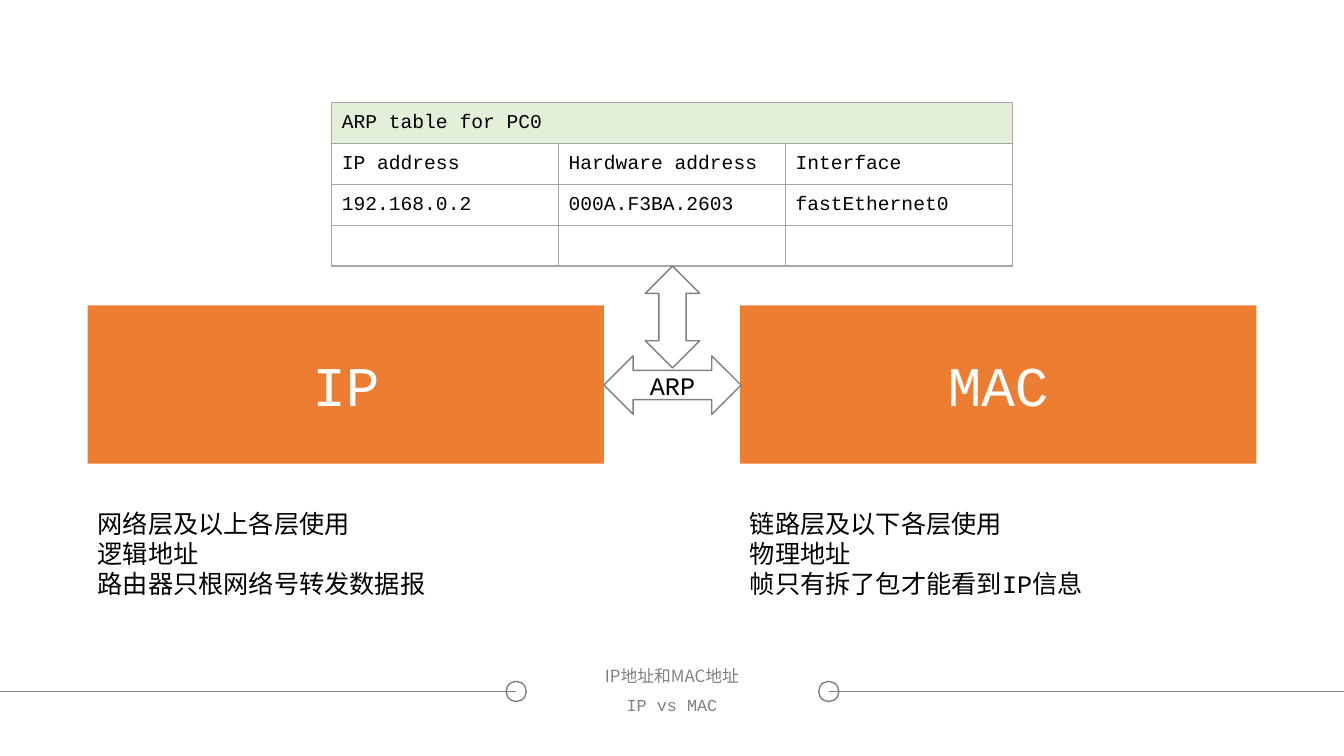
import pptx
import pptx.util
import pptx.dml.color
import pptx.enum.shapes
import pptx.enum.text
import pptx.oxml
import pptx.oxml.ns
from lxml import etree

Inches, Pt = pptx.util.Inches, pptx.util.Pt
KIND = pptx.enum.shapes.MSO_SHAPE
ALIGN = pptx.enum.text.PP_ALIGN
ANCHOR = pptx.enum.text.MSO_ANCHOR
qn = pptx.oxml.ns.qn

# Content
MONO, SANS = "Courier New", "Noto Sans CJK SC"
GREY, BLACK, WHITE = "808080", "000000", "FFFFFF"
ORANGE, GREEN, EDGE = "ED7D31", "E2F0D9", "A6A6A6"
SIDES = [
    ("IP", 0.87, 3.48, ["网络层及以上各层使用", "逻辑地址", "路由器只根网络号转发数据报"]),
    ("MAC", 7.34, 3.53, ["链路层及以下各层使用", "物理地址", "帧只有拆了包才能看到IP信息"]),
]
ROWS = [
    ["ARP table for PC0", "", ""],
    ["IP address", "Hardware address", "Interface"],
    ["192.168.0.2", "000A.F3BA.2603", "fastEthernet0"],
    ["", "", ""],
]
TITLES = [("IP地址和MAC地址", 6.58, 0.28, SANS), ("IP vs MAC", 6.87, 0.27, MONO)]
ARROWS = [
    (KIND.LEFT_RIGHT_ARROW, (5.99, 3.53, 1.36, 0.58), "ARP"),
    (KIND.UP_DOWN_ARROW, (6.4, 2.64, 0.54, 1.01), ""),
]

deck = pptx.Presentation()
deck.slide_width, deck.slide_height = Inches(13.33), Inches(7.5)
slide = deck.slides.add_slide(deck.slide_layouts[6])


def color(code):
    return pptx.dml.color.RGBColor.from_string(code)


def write(frame, lines, size, ink=BLACK, face=MONO, align=ALIGN.LEFT):
    for i, line in enumerate(lines):
        para = frame.add_paragraph() if i else frame.paragraphs[0]
        para.text, para.alignment = line, align
        font = para.font
        font.size, font.name = Pt(size), face
        font.color.rgb = color(ink)
        props = para._p.pPr.find(qn("a:defRPr"))
        etree.SubElement(props, qn("a:ea")).set("typeface", face)


def shape(kind, box, fill=None, line=None):
    item = slide.shapes.add_shape(kind, *map(Inches, box))
    item.shadow.inherit = False
    if fill:
        item.fill.solid()
        item.fill.fore_color.rgb = color(fill)
    else:
        item.fill.background()
    if line:
        item.line.color.rgb = color(line)
        item.line.width = Pt(1)
    else:
        item.line.fill.background()
    item.text_frame.vertical_anchor = ANCHOR.MIDDLE
    return item


def text(box):
    frame = slide.shapes.add_textbox(*map(Inches, box)).text_frame
    frame.word_wrap = True
    return frame


def border(cell):
    props = cell._tc.get_or_add_tcPr()
    for i, side in enumerate("LRTB"):
        props.insert(i, pptx.oxml.parse_xml(
            f'<a:ln{side} xmlns:a="{pptx.oxml.ns.nsdecls("a").split(chr(34))[1]}" w="12700">'
            f'<a:solidFill><a:srgbClr val="{EDGE}"/></a:solidFill></a:ln{side}>'))


# Footer rules with end circles
for mid, end in [(8.22, 13.33), (5.12, 0)]:
    shape(KIND.OVAL, (mid - 0.1, 6.76, 0.2, 0.2), line=GREY)
    rule = slide.shapes.add_connector(
        pptx.enum.shapes.MSO_CONNECTOR.STRAIGHT,
        Inches(mid), Inches(6.86), Inches(end), Inches(6.86))
    rule.line.color.rgb = color(GREY)
    rule.line.width = Pt(0.5)
    etree.SubElement(rule._element.spPr, qn("a:effectLst"))

# Footer titles
for words, top, high, face in TITLES:
    frame = text((5.21, top, 2.91, high))
    frame.vertical_anchor = ANCHOR.MIDDLE
    frame.margin_left = frame.margin_right = 0
    frame.margin_top = frame.margin_bottom = Inches(0.04)
    write(frame, [words], 12, GREY, face, ALIGN.CENTER)
    frame.paragraphs[0].line_spacing = 0.9

# Address blocks and their notes
for name, left, wide, notes in SIDES:
    block = shape(KIND.RECTANGLE, (left, 3.03, 5.12, 1.57), ORANGE)
    write(block.text_frame, [name], 40, WHITE, align=ALIGN.CENTER)
    write(text((left, 4.99, wide, 1.01)), notes, 18)

# ARP table
grid = slide.shapes.add_table(
    4, 3, Inches(3.29), Inches(1.02), Inches(6.75), Inches(1.62)).table
grid.cell(0, 0).merge(grid.cell(0, 2))
for r, row in enumerate(ROWS):
    for c, words in enumerate(row):
        cell = grid.cell(r, c)
        cell.vertical_anchor = ANCHOR.MIDDLE
        write(cell.text_frame, [words], 14)
        if r == 0:
            cell.fill.solid()
            cell.fill.fore_color.rgb = color(GREEN)
        else:
            cell.fill.background()
        border(cell)

# Arrows
for kind, box, words in ARROWS:
    arrow = shape(kind, box, line=GREY)
    if words:
        write(arrow.text_frame, [words], 18, align=ALIGN.CENTER)

deck.save("out.pptx")
